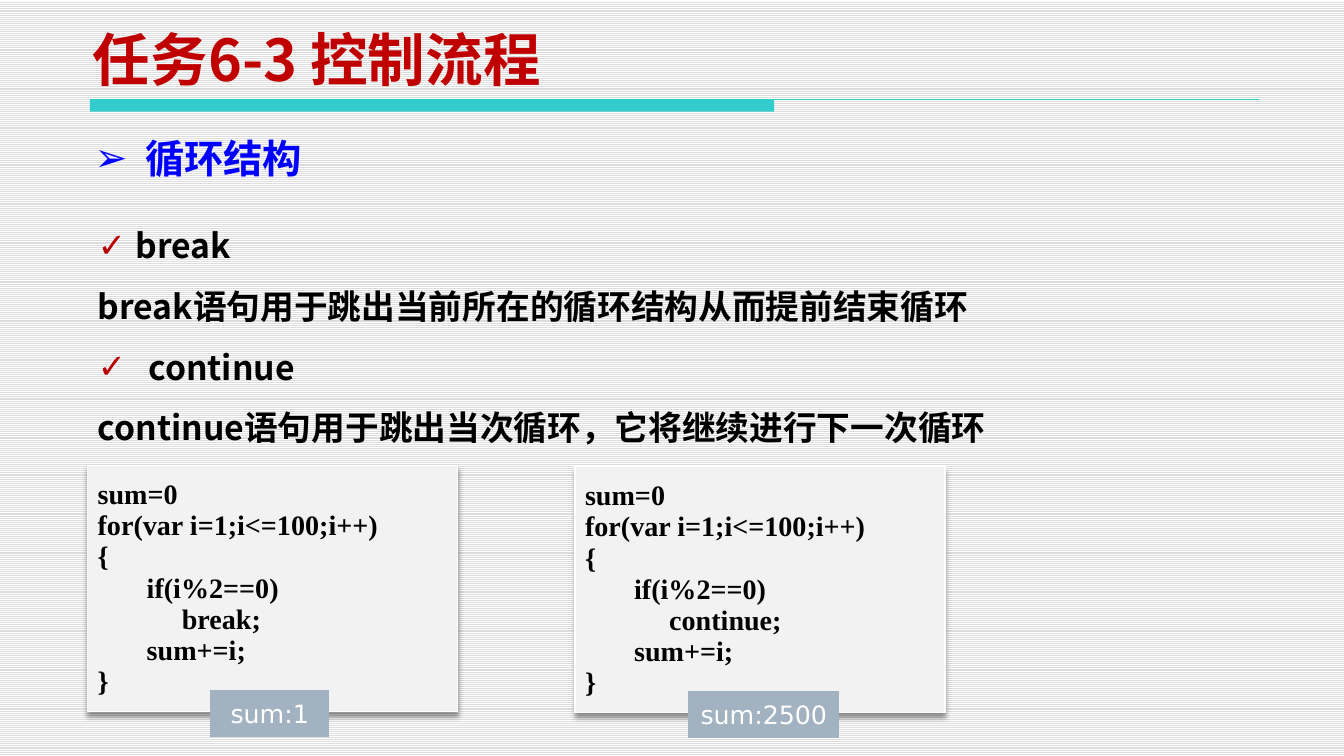
from lxml.etree import SubElement
from pptx import Presentation
from pptx.dml.color import RGBColor
from pptx.enum.dml import MSO_PATTERN
from pptx.enum.shapes import MSO_CONNECTOR, MSO_SHAPE as Shape
from pptx.enum.text import MSO_ANCHOR as Anchor, MSO_AUTO_SIZE as Auto, PP_ALIGN as Align
from pptx.oxml.ns import qn
from pptx.util import Cm, Pt

# Content
TITLE = "任务6-3 控制流程"
TOPIC = "循环结构"
# Text, indent in cm (0 means no bullet)
NOTES = [
    ("break", 0.95),
    ("break语句用于跳出当前所在的循环结构从而提前结束循环", 0),
    ("continue", 1.27),
    ("continue语句用于跳出当次循环，它将继续进行下一次循环", 0),
]
CODE = """sum=0
for(var i=1;i<=100;i++)
{
       if(i%2==0)
            WORD;
       sum+=i;
}"""
# Keyword, code left and top, result, result left and width
DEMOS = [
    ("break", 2.2, 11.7, "sum:1", 5.28, 3.0),
    ("continue", 14.45, 11.73, "sum:2500", 17.3, 3.8),
]
HEX = {
    "title": "C00000", "topic": "0000FF", "text": "000000", "tick": "B90000",
    "rule": "33CCCC", "code": "F2F2F2", "tag": "A3B2C1", "white": "FFFFFF",
    "stripe": "DDDDDD",
}
CJK, SANS, SERIF = "Noto Sans CJK SC", "DejaVu Sans", "Times New Roman"


def color(key):
    return RGBColor.from_string(HEX[key])


def style(para, size, face, key, bold=True):
    font = para.font
    font.size, font.bold, font.name = Pt(size), bold, face
    font.color.rgb = color(key)
    props = para._p.pPr.find(qn("a:defRPr"))
    SubElement(props, qn("a:ea")).set("typeface", CJK)


def bullet(para, char, key, indent):
    props = para._p.get_or_add_pPr()
    props.set("marL", str(Cm(indent)))
    props.set("indent", str(-Cm(indent)))
    tint = SubElement(props, qn("a:buClr"))
    SubElement(tint, qn("a:srgbClr")).set("val", HEX[key])
    SubElement(props, qn("a:buFont")).set("typeface", SANS)
    SubElement(props, qn("a:buChar")).set("char", char)


def textbox(left, top, width, height):
    frame = slide.shapes.add_textbox(Cm(left), Cm(top), Cm(width), Cm(height)).text_frame
    frame.word_wrap = True
    return frame


def box(kind, left, top, width, height, key):
    shape = slide.shapes.add_shape(kind, Cm(left), Cm(top), Cm(width), Cm(height))
    shape.shadow.inherit = False
    shape.fill.solid()
    shape.fill.fore_color.rgb = color(key)
    shape.line.fill.background()
    return shape


def listing(word, left, top):
    frame = slide.shapes.add_table(1, 1, Cm(left), Cm(top), Cm(9.3), Cm(6.17))
    table = frame.table
    table.first_row = table.horz_banding = False
    # Soft shadow below the table
    effects = SubElement(table._tbl.tblPr, qn("a:effectLst"))
    table._tbl.tblPr.insert(0, effects)
    shadow = SubElement(effects, qn("a:outerShdw"), blurRad="50800", dist="38100", dir="5400000")
    black = SubElement(shadow, qn("a:srgbClr"), val=HEX["text"])
    SubElement(black, qn("a:alpha"), val="40000")
    cell = table.cell(0, 0)
    cell.fill.solid()
    cell.fill.fore_color.rgb = color("code")
    cell.vertical_anchor = Anchor.MIDDLE
    cell.text = CODE.replace("WORD", word)
    for para in cell.text_frame.paragraphs:
        style(para, 20, SERIF, "text")


def tag(text, left, top, width):
    frame = box(Shape.FLOWCHART_PROCESS, left, top, width, 1.19, "tag").text_frame
    frame.word_wrap = False
    frame.vertical_anchor = Anchor.MIDDLE
    para = frame.paragraphs[0]
    para.text, para.alignment = text, Align.CENTER
    style(para, 18, SANS, "white", False)


# Slide and striped background
deck = Presentation()
deck.slide_width, deck.slide_height = Cm(33.78), Cm(19)
slide = deck.slides.add_slide(deck.slide_layouts[5])
back = slide.background.fill
back.patterned()
back.pattern = MSO_PATTERN.LIGHT_HORIZONTAL
back.fore_color.rgb, back.back_color.rgb = color("stripe"), color("white")

# Rule under the title
box(Shape.RECTANGLE, 2.26, 2.51, 17.2, 0.3, "rule")
line = slide.shapes.add_connector(MSO_CONNECTOR.STRAIGHT, Cm(2.26), Cm(2.51), Cm(31.65), Cm(2.51))
line.line.color.rgb, line.line.width = color("rule"), Pt(0.75)
SubElement(line._element.spPr, qn("a:effectLst"))

# Title
title = slide.shapes.title
title.left, title.top, title.width, title.height = Cm(2.08), Cm(0.71), Cm(24.6), Cm(1.75)
frame = title.text_frame
frame.text, frame.auto_size, frame.vertical_anchor = TITLE, Auto.NONE, Anchor.BOTTOM
frame.paragraphs[0].alignment = Align.LEFT
style(frame.paragraphs[0], 41, CJK, "title")

# Topic
para = textbox(2.13, 3.25, 21.6, 1.47).paragraphs[0]
para.text = TOPIC
bullet(para, "➢", "topic", 1.27)
style(para, 28, SANS, "topic")

# Notes
frame = textbox(2.21, 5.03, 24.08, 7.95)
frame.text = "\n".join(text for text, _ in NOTES)
for para, (_, indent) in zip(frame.paragraphs, NOTES):
    if indent:
        bullet(para, "✓", "tick", indent)
    para.line_spacing = 1.5
    style(para, 24, CJK, "text")

# Code samples with their results
for word, left, top, result, edge, width in DEMOS:
    listing(word, left, top)
    tag(result, edge, top + 5.63, width)

deck.save("out.pptx")
